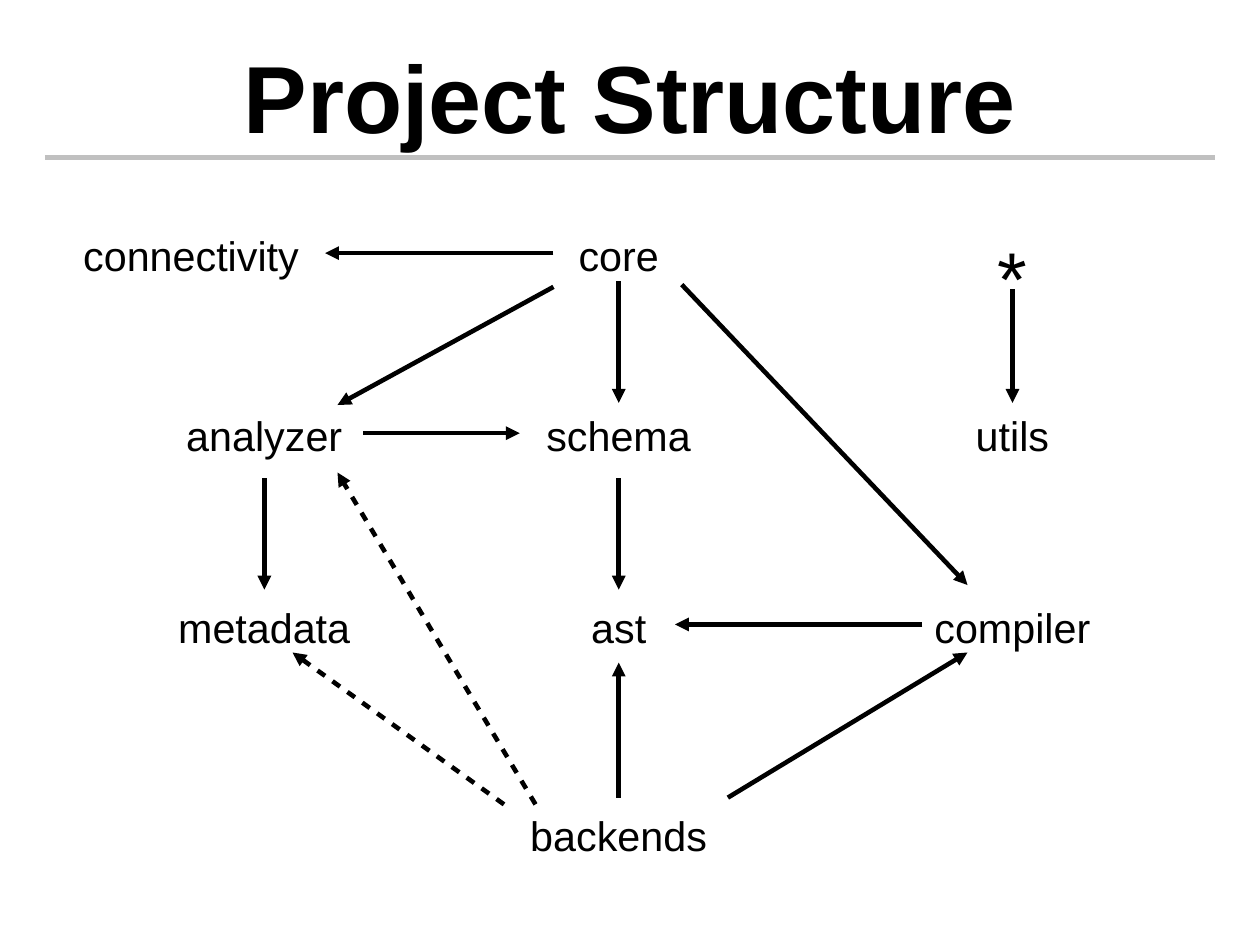
from lxml.etree import SubElement as Sub
from pptx import Presentation
from pptx.dml.color import RGBColor as Rgb
from pptx.enum.shapes import MSO_CONNECTOR as Link
from pptx.enum.text import MSO_ANCHOR as Anchor, MSO_AUTO_SIZE as Fit, PP_ALIGN as Align
from pptx.oxml.ns import qn
from pptx.util import Pt

PX = 9000
WIDE, HIGH = 1120, 840
FONT = "Arial"
INK = {"text": "000000", "rule": "C0C0C0"}
TITLE = ("Project Structure", (56, 20, 1008, 130))
RULE = ((40, 140), (1080, 140))

ROWS = (200, 360, 530, 715)
LEFT, MID, RIGHT = 235, 550, 900
NODES = [
    ("core", MID, 0, 100),
    ("connectivity", 170, 0, 220),
    ("analyzer", LEFT, 1, 160),
    ("metadata", LEFT, 2, 180),
    ("schema", MID, 1, 160),
    ("ast", MID, 2, 80),
    ("backends", MID, 3, 180),
    ("compiler", RIGHT, 2, 160),
    ("utils", RIGHT, 1, 100),
    ("*", RIGHT, 0, 60),
]
SOLID = [
    ((MID, 250), (MID, 358), ("core", 2)),
    ((MID, 425), (MID, 524), None),
    ((LEFT, 425), (LEFT, 524), None),
    ((RIGHT, 257), (RIGHT, 358), None),
    ((606, 253), (860, 520), None),
    ((492, 255), (300, 360), None),
    ((820, 555), (600, 555), ("compiler", 1)),
    ((323, 385), (462, 385), None),
    ((492, 225), (289, 225), None),
    ((MID, 709), (MID, 589), None),
    ((647, 709), (860, 580), None),
]
DASHED = [
    ((448, 715), (260, 580), None),
    ((476, 715), (300, 420), None),
]


def emu(*nums):
    return [n * PX for n in nums]


def write(shape, text, size, bold=False):
    frame = shape.text_frame
    frame.text = text
    para = frame.paragraphs[0]
    para.alignment = Align.CENTER
    font = para.runs[0].font
    font.name, font.size, font.bold = FONT, Pt(size), bold
    font.color.rgb = Rgb.from_string(INK["text"])
    return frame


def draw(slide, start, end, ink):
    line = slide.shapes.add_connector(Link.STRAIGHT, *emu(*start, *end))
    line.line.color.rgb = Rgb.from_string(ink)
    line.line.width = Pt(2.89)
    Sub(line._element.spPr, qn("a:effectLst"))
    return line


def arrow(slide, boxes, start, end, join, dash):
    line = draw(slide, start, end, INK["text"])
    if join:
        name, side = join
        line.begin_connect(boxes[name], side)
    ln = line.line._get_or_add_ln()
    if dash:
        Sub(Sub(ln, qn("a:custDash")), qn("a:ds"), d="200000", sp="200000")
    Sub(ln, qn("a:tailEnd"), type="triangle")


def main():
    deck = Presentation()
    deck.slide_width = WIDE * PX
    deck.slide_height = HIGH * PX
    slide = deck.slides.add_slide(deck.slide_layouts[5])

    text, area = TITLE
    title = slide.shapes.title
    title.left, title.top, title.width, title.height = emu(*area)
    frame = write(title, text, 60, True)
    frame.vertical_anchor = Anchor.MIDDLE
    frame.auto_size = Fit.NONE
    frame.margin_left = frame.margin_right = 0
    frame.margin_top = frame.margin_bottom = 0
    draw(slide, *RULE, INK["rule"])

    boxes = {}
    for name, mid, row, wide in NODES:
        star = name == "*"
        high = 85 if star else 50
        box = slide.shapes.add_textbox(*emu(mid - wide // 2, ROWS[row], wide, high))
        frame = write(box, name, 48 if star else 26)
        frame.word_wrap = False
        boxes[name] = box

    for group, dash in ((SOLID, False), (DASHED, True)):
        for start, end, join in group:
            arrow(slide, boxes, start, end, join, dash)

    deck.save("out.pptx")


if __name__ == "__main__":
    main()
